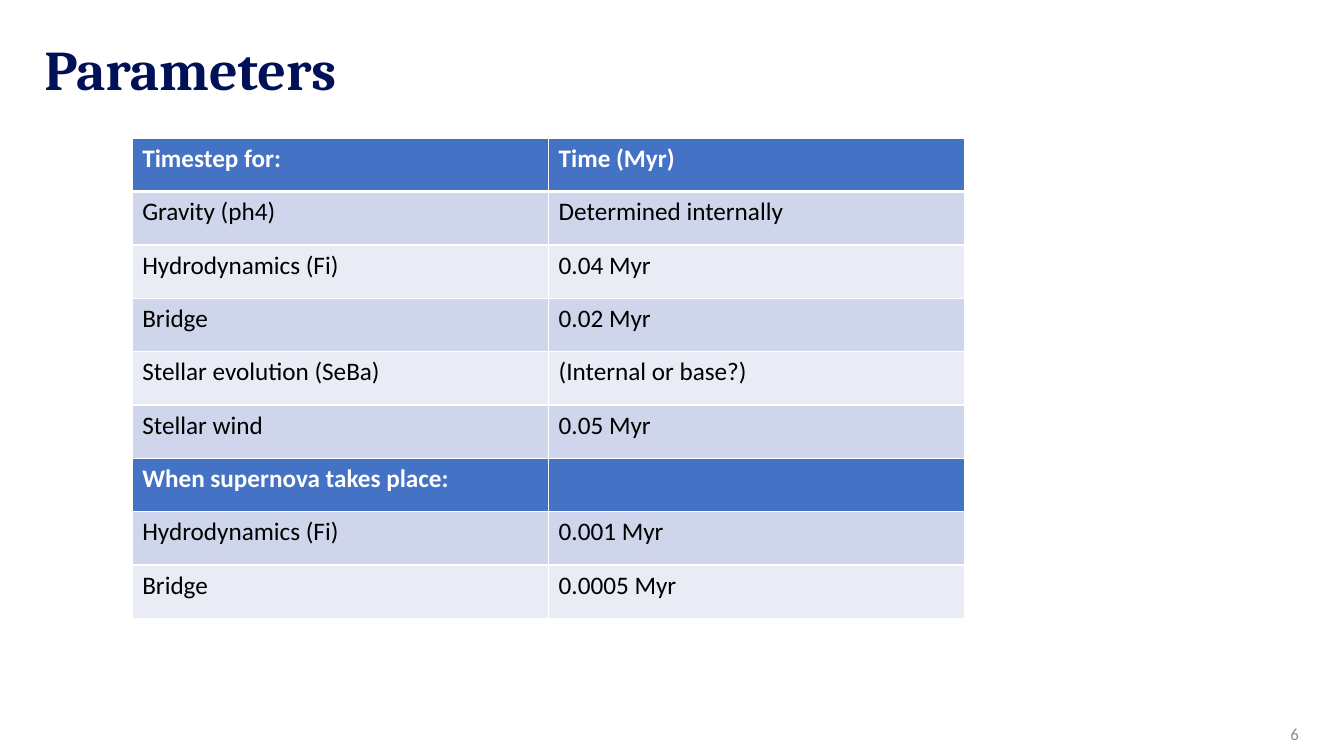
from lxml import etree
from pptx import Presentation
from pptx import util as u
from pptx.dml.color import RGBColor
from pptx.enum import text
from pptx.oxml.ns import qn

TIMESTEPS = [
    ("Timestep for:", "Time (Myr)"),
    ("Gravity (ph4)", "Determined internally"),
    ("Hydrodynamics (Fi)", "0.04 Myr"),
    ("Bridge", "0.02 Myr"),
    ("Stellar evolution (SeBa)", "(Internal or base?)"),
    ("Stellar wind", "0.05 Myr"),
    ("When supernova takes place:", ""),
    ("Hydrodynamics (Fi)", "0.001 Myr"),
    ("Bridge", "0.0005 Myr"),
]
HEADING_ROWS = (0, 6)
HEADING_FILL = "4472C4"
BAND_FILLS = ("E9EBF5", "CFD5EA")


def color(hex_code):
    return RGBColor.from_string(hex_code)


def add_run(paragraph, words, size, font, hex_code, bold=False):
    run = paragraph.add_run()
    run.text = words
    run.font.size = u.Pt(size)
    run.font.name = font
    run.font.bold = bold
    run.font.color.rgb = color(hex_code)


def add_label(slide, box, words, size, font, hex_code, bold=False,
              align=text.PP_ALIGN.LEFT, inset=0):
    frame = slide.shapes.add_textbox(*map(u.Pt, box)).text_frame
    frame.word_wrap = True
    frame.vertical_anchor = text.MSO_ANCHOR.MIDDLE
    frame.margin_left = frame.margin_right = u.Pt(inset)
    frame.margin_top = frame.margin_bottom = u.Pt(inset / 2)
    paragraph = frame.paragraphs[0]
    paragraph.alignment = align
    add_run(paragraph, words, size, font, hex_code, bold)


def set_borders(cell, top, bottom):
    properties = cell._tc.get_or_add_tcPr()
    widths = {"a:lnL": 1, "a:lnR": 1, "a:lnT": top, "a:lnB": bottom}
    for position, (side, width) in enumerate(widths.items()):
        border = etree.Element(qn(side), w=str(u.Pt(width)))
        fill = etree.SubElement(border, qn("a:solidFill"))
        etree.SubElement(fill, qn("a:srgbClr"), val="FFFFFF")
        properties.insert(position, border)


def add_timestep_table(slide, box):
    row_count, column_count = len(TIMESTEPS), len(TIMESTEPS[0])
    table = slide.shapes.add_table(row_count, column_count, *map(u.Pt, box)).table
    for column in table.columns:
        column.width = u.Pt(box[2] / column_count)
    for index, entries in enumerate(TIMESTEPS):
        table.rows[index].height = u.Pt(box[3] / row_count)
        heading = index in HEADING_ROWS
        for cell, words in zip(table.rows[index].cells, entries):
            cell.fill.solid()
            cell.fill.fore_color.rgb = color(HEADING_FILL if heading else BAND_FILLS[index % 2])
            set_borders(cell, 3 if index == 1 else 1, 3 if index == 0 else 1)
            if words:
                add_run(cell.text_frame.paragraphs[0], words, 18, "Calibri",
                        "FFFFFF" if heading else "000000", heading)


def build_parameters_slide(deck, box):
    slide = deck.slides.add_slide(deck.slide_layouts[6])
    left, top, width, height = box
    add_label(slide, (left + 31.7, top + 31.7, width - 64, 33.8),
              "Parameters", 40, "Cambria", "001158", bold=True)
    add_timestep_table(slide, (left + 94.5, top + 98.8, 595.2, 342.9))
    add_label(slide, (left + width - 241.2, top + height - 30.2, 216, 28.8),
              "6", 12, "Calibri", "8C8C8C", align=text.PP_ALIGN.RIGHT, inset=7.2)


def main():
    deck = Presentation()
    width, height = 960.5, 540
    deck.slide_width, deck.slide_height = u.Pt(width), u.Pt(height)
    build_parameters_slide(deck, (0, 0, width, height))
    deck.save("out.pptx")


if __name__ == "__main__":
    main()
